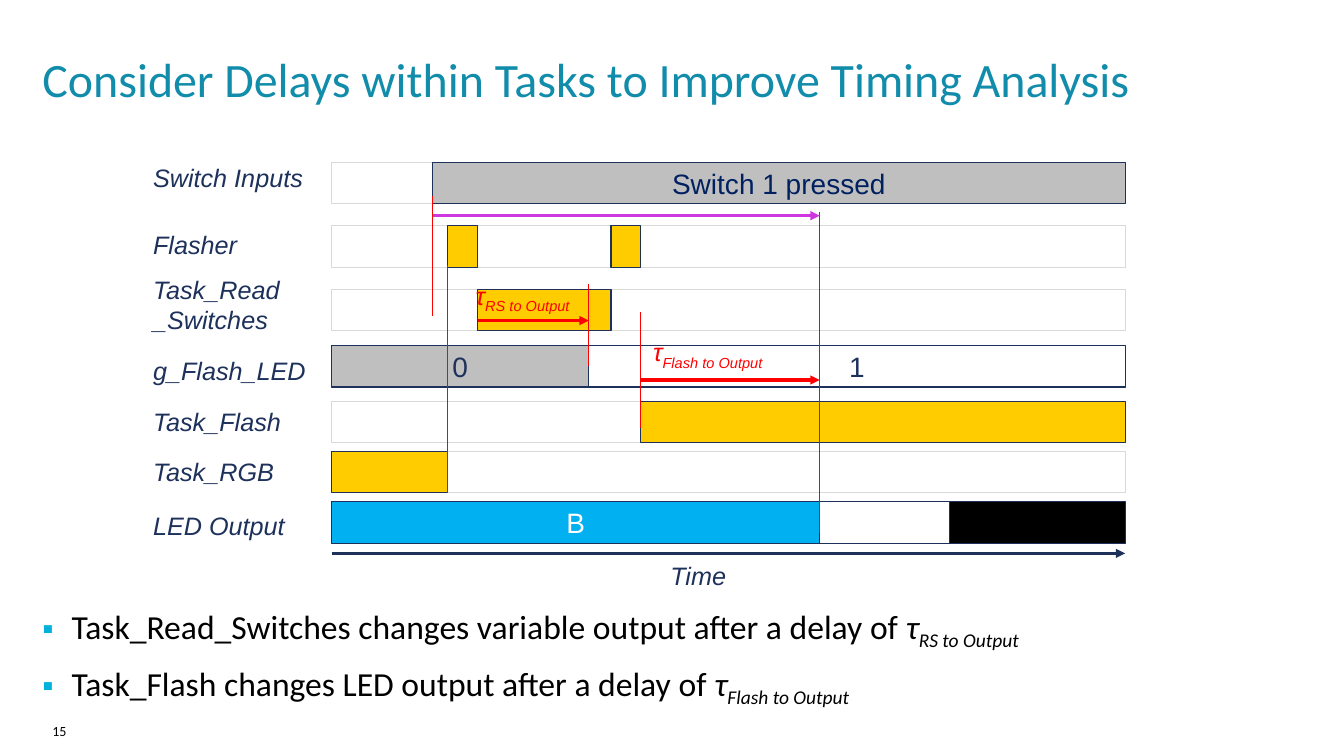
from pptx import Presentation
from pptx.dml.color import RGBColor
from pptx.enum.shapes import MSO_CONNECTOR as Conn, MSO_SHAPE as Shape
from pptx.enum.text import MSO_ANCHOR as Anchor, PP_ALIGN as Align
from pptx.oxml.ns import qn
from pptx.util import Inches, Pt
from lxml.etree import SubElement

TEAL = RGBColor(0x12, 0x8C, 0xAB)
NAVY = RGBColor(0x1D, 0x31, 0x5B)
DEEP = RGBColor(0x00, 0x20, 0x60)
GRAY = RGBColor(0xBF, 0xBF, 0xBF)
PALE = RGBColor(0xD9, 0xD9, 0xD9)
GOLD = RGBColor(0xFF, 0xCC, 0x00)
BLUE = RGBColor(0x00, 0xB0, 0xF0)
RED = RGBColor(0xFF, 0x00, 0x00)
PINK = RGBColor(0xCE, 0x37, 0xDF)
BLACK = RGBColor(0, 0, 0)
WHITE = RGBColor(0xFF, 0xFF, 0xFF)

TITLE = "Consider Delays within Tasks to Improve Timing Analysis"
POINTS = [
    ("Task_Read_Switches changes variable output after a delay of ", "RS to Output"),
    ("Task_Flash changes LED output after a delay of ", "Flash to Output"),
]
START, END, HIGH = 3.29, 11.16, 0.41
PRESS, FLASH, READ, SET, DONE, RUN, LIT, OFF = 4.29, 4.44, 4.74, 5.84, 6.06, 6.35, 8.13, 9.42

# Each lane: top, label, label top, bars as (from, to, fill, text, text colour).
LANES = [
    (1.61, "Switch Inputs", 1.56, [(PRESS, END, GRAY, "Switch 1 pressed", DEEP)]),
    (2.24, "Flasher", 2.23, [(FLASH, READ, GOLD, "", NAVY), (DONE, RUN, GOLD, "", NAVY)]),
    (2.87, "Task_Read\v_Switches", 2.67, [(READ, DONE, GOLD, "", NAVY)]),
    (3.43, "g_Flash_LED", 3.48, [(START, SET, GRAY, "0", NAVY), (SET, END, WHITE, "1", NAVY)]),
    (3.98, "Task_Flash", 3.98, [(RUN, END, GOLD, "", NAVY)]),
    (4.48, "Task_RGB", 4.48, [(START, FLASH, GOLD, "", NAVY)]),
    (4.98, "LED Output", 5.01, [(START, LIT, BLUE, "B", WHITE), (LIT, OFF, WHITE, "", NAVY),
                                (OFF, END, BLACK, "", NAVY)]),
]
MARKS = [(PRESS, 1.94, 3.14), (FLASH, 2.63, 4.89), (SET, 2.82, 3.63),
         (RUN, 3.1, 4.25), (LIT, 2.1, 5.29)]
ARROWS = [(PRESS, LIT, 2.14, PINK), (READ, SET, 3.18, RED),
          (RUN, LIT, 3.77, RED), (START, END, 5.49, NAVY)]
DELAYS = [(4.62, 2.73, "RS to Output"), (6.38, 3.29, "Flash to Output")]
NOTE = dict(name="Arial", size=Pt(18), italic=True)
BODY = dict(name="Calibri", size=Pt(24))


def style(font, color, form):
    """Apply a colour and a dict of values to a font."""
    for key, value in form.items():
        setattr(font, key, value)
    font.color.rgb = color


def write(para, text, color, form, base=None):
    """Add one run of text, lowered by base if given."""
    run = para.add_run()
    run.text = text
    style(run.font, color, form)
    if base:
        run.font._element.set("baseline", base)


def tau(para, sub, color, form):
    """Add the delay symbol with its subscript."""
    write(para, "τ", color, form)
    write(para, sub, color, form, "-25000")


def box(slide, left, top, wide, high, inset=True):
    """Add a wrapping text box and return its frame."""
    frame = slide.shapes.add_textbox(*map(Inches, (left, top, wide, high))).text_frame
    frame.word_wrap = True
    if not inset:
        frame.margin_left = frame.margin_right = frame.margin_top = frame.margin_bottom = 0
    return frame


def note(slide, left, top, text, color=NAVY, high=0.4):
    """Add an italic label."""
    para = box(slide, left, top, 2.7, high).paragraphs[0]
    para.text = text
    style(para.font, color, NOTE)


def bar(slide, left, right, top, fill, edge, text="", ink=NAVY):
    """Add a bar spanning two times."""
    rect = slide.shapes.add_shape(
        Shape.RECTANGLE, *map(Inches, (left, top, right - left, HIGH)))
    rect.shadow.inherit = False
    rect.fill.solid()
    rect.fill.fore_color.rgb = fill
    rect.line.color.rgb = edge
    rect.line.width = Pt(0.75)
    if text:
        rect.text_frame.vertical_anchor = Anchor.MIDDLE
        para = rect.text_frame.paragraphs[0]
        para.alignment = Align.CENTER
        write(para, text, ink, dict(name="Arial", size=Pt(20)))


def rule(slide, ends, color, width, head=False):
    """Add a straight line, with an arrowhead if asked."""
    line = slide.shapes.add_connector(Conn.STRAIGHT, *map(Inches, ends))
    line.line.color.rgb = color
    line.line.width = Pt(width)
    if head:
        SubElement(line.line._get_or_add_ln(), qn("a:tailEnd"), type="triangle")
    SubElement(line._element.spPr, qn("a:effectLst"))


def bullet(para):
    """Give a paragraph a square bullet and a hanging indent."""
    props = para._p.get_or_add_pPr()
    props.set("marL", str(Inches(0.29)))
    props.set("indent", str(-Inches(0.29)))
    para.space_after = Pt(8)
    tint = SubElement(props, qn("a:buClr"))
    SubElement(tint, qn("a:srgbClr"), val="00B1DB")
    SubElement(props, qn("a:buSzPct"), val="95000")
    SubElement(props, qn("a:buFont"), typeface="Arial")
    SubElement(props, qn("a:buChar"), char="▪")


def head(slide):
    """Place and format the title."""
    title = slide.shapes.title
    title.left, title.top, title.width, title.height = map(Inches, (0.42, 0.49, 12.68, 0.47))
    frame = title.text_frame
    frame.margin_left = frame.margin_right = frame.margin_top = frame.margin_bottom = 0
    frame.vertical_anchor = Anchor.TOP
    frame.word_wrap = True
    para = frame.paragraphs[0]
    para.alignment = Align.LEFT
    write(para, TITLE, TEAL, dict(name="Calibri", size=Pt(34.2)))


def chart(slide):
    """Draw the timing diagram."""
    for top, *_ in LANES:
        bar(slide, START, END, top, WHITE, PALE)
    for top, name, high, bars in LANES:
        for left, right, fill, text, ink in bars:
            bar(slide, left, right, top, fill, NAVY, text, ink)
        note(slide, 1.42, high, name, high=0.71 if "\v" in name else 0.4)
    for x, top, low in MARKS:
        rule(slide, (x, top, x, low), RED, 0.75)
    for left, right, y, color in ARROWS:
        rule(slide, (left, y, right, y), color, 2.25, True)
    for left, top, sub in DELAYS:
        tau(box(slide, left, top, 1.8, 0.4).paragraphs[0], sub, RED, NOTE)
    note(slide, 6.55, 5.51, "Time")


def main():
    """Build the slide and save it."""
    deck = Presentation()
    deck.slide_width, deck.slide_height = Inches(13.33), Inches(7.5)
    slide = deck.slides.add_slide(deck.slide_layouts[5])
    head(slide)
    chart(slide)
    frame = box(slide, 0.42, 6.01, 12.6, 1.13, False)
    for i, (text, sub) in enumerate(POINTS):
        para = frame.add_paragraph() if i else frame.paragraphs[0]
        bullet(para)
        write(para, text, BLACK, BODY)
        tau(para, sub, BLACK, dict(BODY, italic=True))
    page = box(slide, 0.52, 7.17, 1.43, 0.26, False).paragraphs[0]
    write(page, "15", BLACK, dict(name="Calibri", size=Pt(10)))
    deck.save("out.pptx")


if __name__ == "__main__":
    main()
